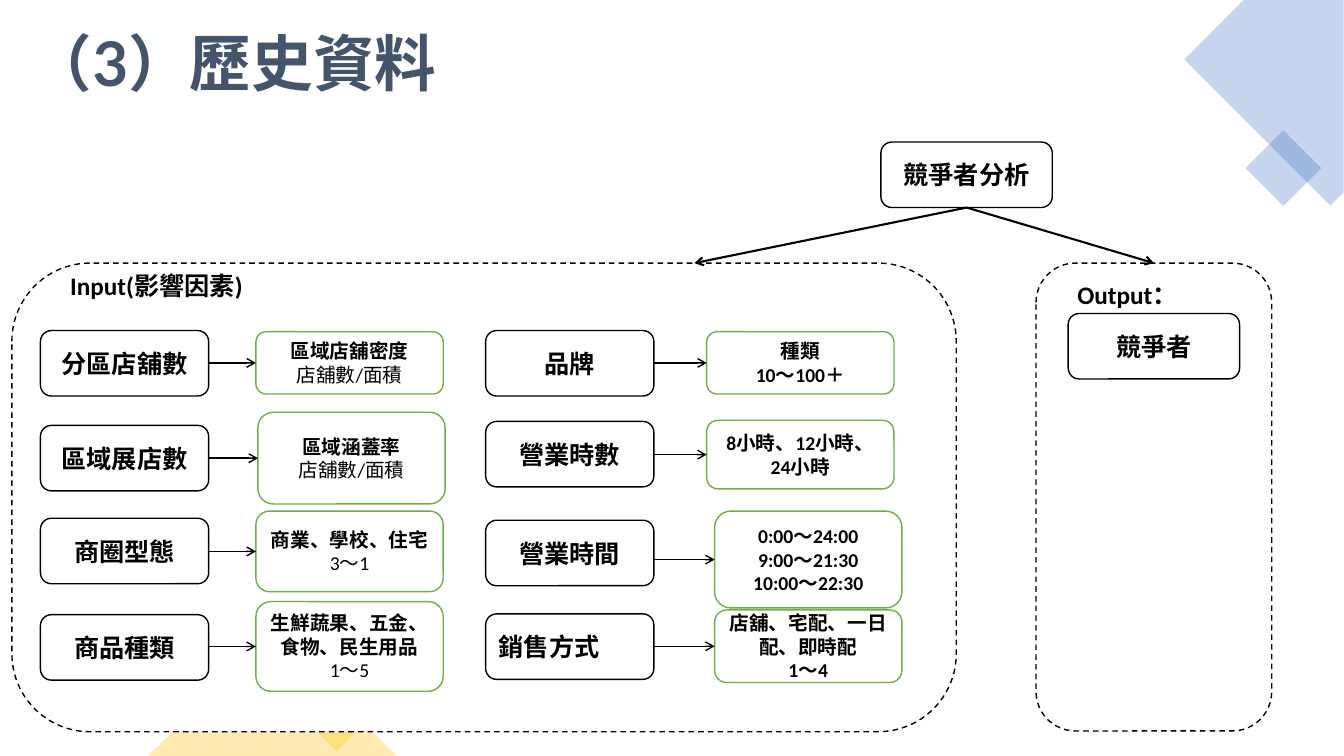
from lxml import etree
from pptx import Presentation
from pptx.dml.color import RGBColor
from pptx.enum.dml import MSO_LINE
from pptx.enum.shapes import MSO_CONNECTOR, MSO_SHAPE
from pptx.enum.text import MSO_ANCHOR, PP_ALIGN
from pptx.oxml.ns import qn
from pptx.util import Cm, Pt

COLORS = {"white": "FFFFFF", "black": "000000", "green": "70AD47",
          "blue": "4472C4", "yellow": "FFC000", "title": "44546A"}

# All lengths are centimetres; boxes are (left, top, width, height).
CORNER = [(33.86, 0), (31.34, 0), (29.85, 1.5), (33.53, 5.18), (33.86, 4.85)]
DECORATIONS = [
    (MSO_SHAPE.RECTANGLE, (31.67, 3.56, 1.35, 1.35), 315, "blue"),
    (MSO_SHAPE.RECTANGLE, (7.59, 16.76, 1.8, 1.8), 45, "yellow"),
    (MSO_SHAPE.ISOSCELES_TRIANGLE, (3.73, 15.9, 6.27, 3.15), 0, "yellow"),
]
OUTPUT_PANEL = (26.11, 6.63, 5.94, 11.79)
INPUT_PANEL = (0.3, 6.63, 23.8, 11.81)
INPUT_ARROW_X = 17.5

ANALYSIS = ("競爭者分析", 22.2, 3.58)
COMPETITOR = ("競爭者", 26.92, 7.9)
TOPIC_WIDTH, FACTOR_WIDTH, DETAIL_WIDTH, LABEL_HEIGHT = 4.32, 4.24, 4.72, 1.65

# Column left, then rows: factor, its top, detail lines, detail left, top, height.
FACTOR_COLUMNS = [
    (1.02, [
        ("分區店舖數", 8.33, ["區域店舖密度", "店舖數/面積"], 6.45, 8.36, 1.57),
        ("區域展店數", 10.72, ["區域涵蓋率", "店舖數/面積"], 6.5, 10.39, 2.31),
        ("商圈型態", 13.06, ["商業、學校、住宅", "3～1"], 6.45, 12.88, 2.03),
        ("商品種類", 15.49, ["生鮮蔬果、五金、食物、民生用品", "1～5"], 6.45, 15.16, 2.26),
    ]),
    (12.24, [
        ("品牌", 8.33, ["種類", "10～100＋"], 17.81, 8.36, 1.57),
        ("營業時數", 10.62, ["8小時、12小時、24小時"], 17.81, 10.59, 1.73),
        ("營業時間", 13.11, ["0:00～24:00", "9:00～21:30", "10:00～22:30"], 18.01, 12.88, 2.44),
        ("銷售方式", 15.47, ["店舖、宅配、一日配、即時配", "1～4"], 18.01, 15.37, 1.83),
    ]),
]
LEFT_ALIGNED_FACTOR = "銷售方式"
PLAIN_LINES = {"店舖數/面積", "3～1", "1～5"}

CAPTIONS = [
    ("Input(影響因素)", (1.52, 6.68, 4.9, 1.02), 18, "Calibri", "black"),
    ("（3）歷史資料", (0.53, 0.51, 10.82, 2.13), 44, "Lato", "title"),
    ("Output：", (26.9, 6.91, 8.46, 1.02), 18, "Calibri", "black"),
]


def rgb(name):
    return RGBColor.from_string(COLORS[name])


def write(frame, lines, size, font="Calibri", color="black", align=None):
    frame.word_wrap = True
    frame.text = "\n".join(lines)
    for paragraph in frame.paragraphs:
        paragraph.alignment = align
        for run in paragraph.runs:
            run.font.name = font
            run.font.size = Pt(size)
            run.font.bold = run.text not in PLAIN_LINES
            run.font.color.rgb = rgb(color)


def make_translucent(shape, color):
    """Fill with a colour at 30 % opacity and no outline."""
    shape.shadow.inherit = False
    shape.fill.solid()
    shape.fill.fore_color.rgb = rgb(color)
    shape.line.fill.background()
    srgb = shape.fill._xPr.find(".//" + qn("a:srgbClr"))
    etree.SubElement(srgb, qn("a:alpha")).set("val", "30000")


def add_box(shapes, box, outline="black"):
    shape = shapes.add_shape(MSO_SHAPE.ROUNDED_RECTANGLE, *map(Cm, box))
    shape.shadow.inherit = False
    shape.fill.solid()
    shape.fill.fore_color.rgb = rgb("white")
    shape.line.color.rgb = rgb(outline)
    shape.line.width = Pt(1)
    return shape


def add_labelled_box(shapes, box, lines, size=18, outline="black", align=PP_ALIGN.CENTER):
    frame = add_box(shapes, box, outline).text_frame
    frame.vertical_anchor = MSO_ANCHOR.MIDDLE
    write(frame, lines, size, align=align)


def add_arrow(shapes, start, end, width=1):
    arrow = shapes.add_connector(MSO_CONNECTOR.STRAIGHT, *map(Cm, start + end))
    arrow.line.color.rgb = rgb("black")
    arrow.line.width = Pt(width)
    etree.SubElement(arrow.line._get_or_add_ln(), qn("a:tailEnd")).set("type", "arrow")
    etree.SubElement(arrow._element.spPr, qn("a:effectLst"))


def add_decorations(shapes):
    first, *others = [(Cm(x), Cm(y)) for x, y in CORNER]
    builder = shapes.build_freeform(*first)
    builder.add_line_segments(others, close=True)
    make_translucent(builder.convert_to_shape(), "blue")
    for preset, box, rotation, color in DECORATIONS:
        decoration = shapes.add_shape(preset, *map(Cm, box))
        decoration.rotation = rotation
        make_translucent(decoration, color)


def add_factors(shapes):
    for left, rows in FACTOR_COLUMNS:
        for factor, top, details, detail_left, detail_top, height in rows:
            align = PP_ALIGN.LEFT if factor == LEFT_ALIGNED_FACTOR else PP_ALIGN.CENTER
            add_labelled_box(shapes, (left, top, FACTOR_WIDTH, LABEL_HEIGHT), [factor], align=align)
            add_labelled_box(shapes, (detail_left, detail_top, DETAIL_WIDTH, height),
                             details, 14, "green")
            middle = detail_top + height / 2
            add_arrow(shapes, (left + FACTOR_WIDTH, middle), (detail_left, middle))


def main():
    presentation = Presentation()
    presentation.slide_width, presentation.slide_height = Cm(33.87), Cm(19.05)
    shapes = presentation.slides.add_slide(presentation.slide_layouts[6]).shapes

    add_decorations(shapes)
    for panel in (OUTPUT_PANEL, INPUT_PANEL):
        add_box(shapes, panel).line.dash_style = MSO_LINE.DASH
    for topic, left, top in (ANALYSIS, COMPETITOR):
        add_labelled_box(shapes, (left, top, TOPIC_WIDTH, LABEL_HEIGHT), [topic])
    add_factors(shapes)

    _, left, top = ANALYSIS
    fork = (left + TOPIC_WIDTH / 2, top + LABEL_HEIGHT)
    output_x = OUTPUT_PANEL[0] + OUTPUT_PANEL[2] / 2
    for x in (INPUT_ARROW_X, output_x):
        add_arrow(shapes, fork, (x, INPUT_PANEL[1]), 1.5)

    for caption, box, size, font, color in CAPTIONS:
        write(shapes.add_textbox(*map(Cm, box)).text_frame, [caption], size, font, color)
    presentation.save("out.pptx")


if __name__ == "__main__":
    main()
